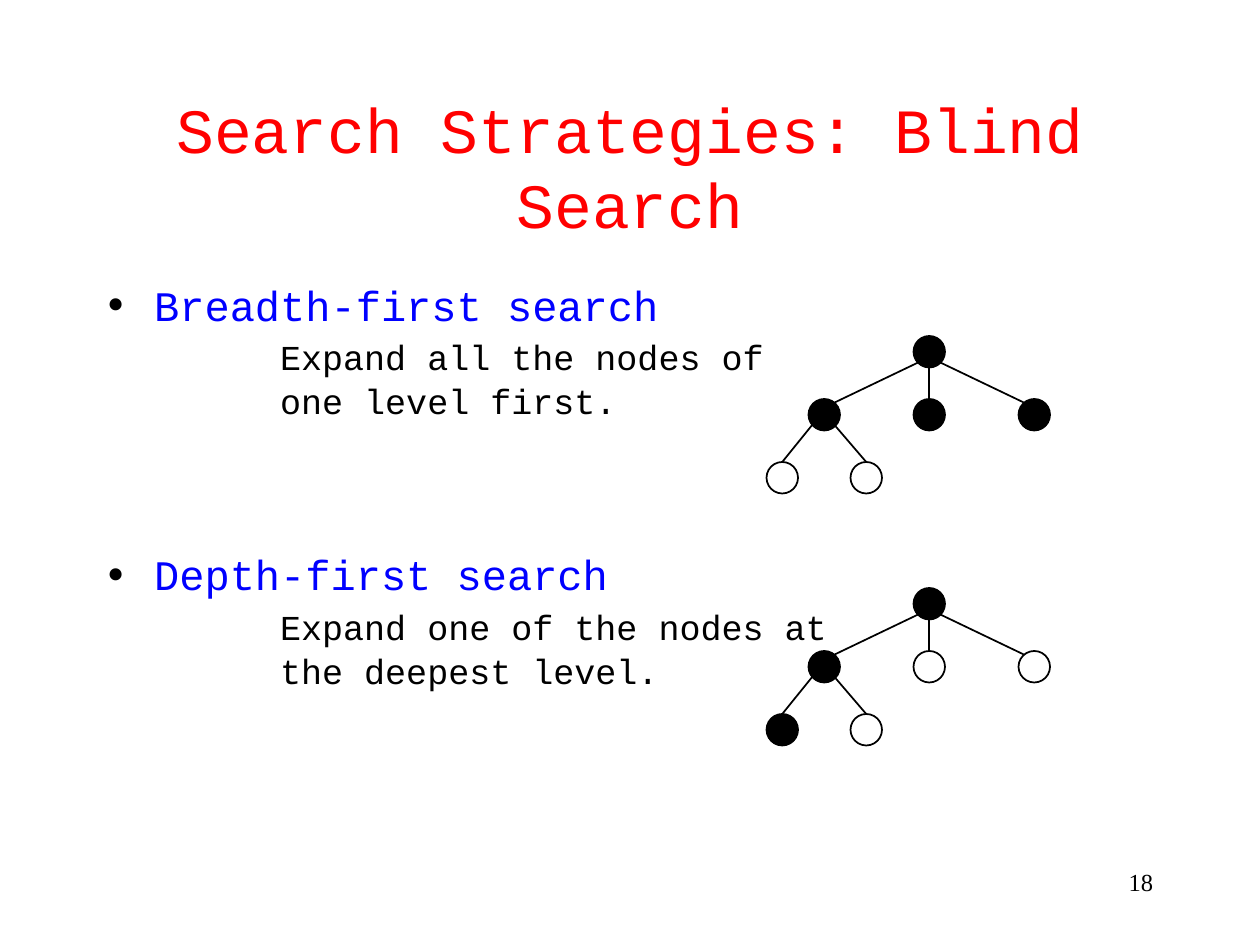
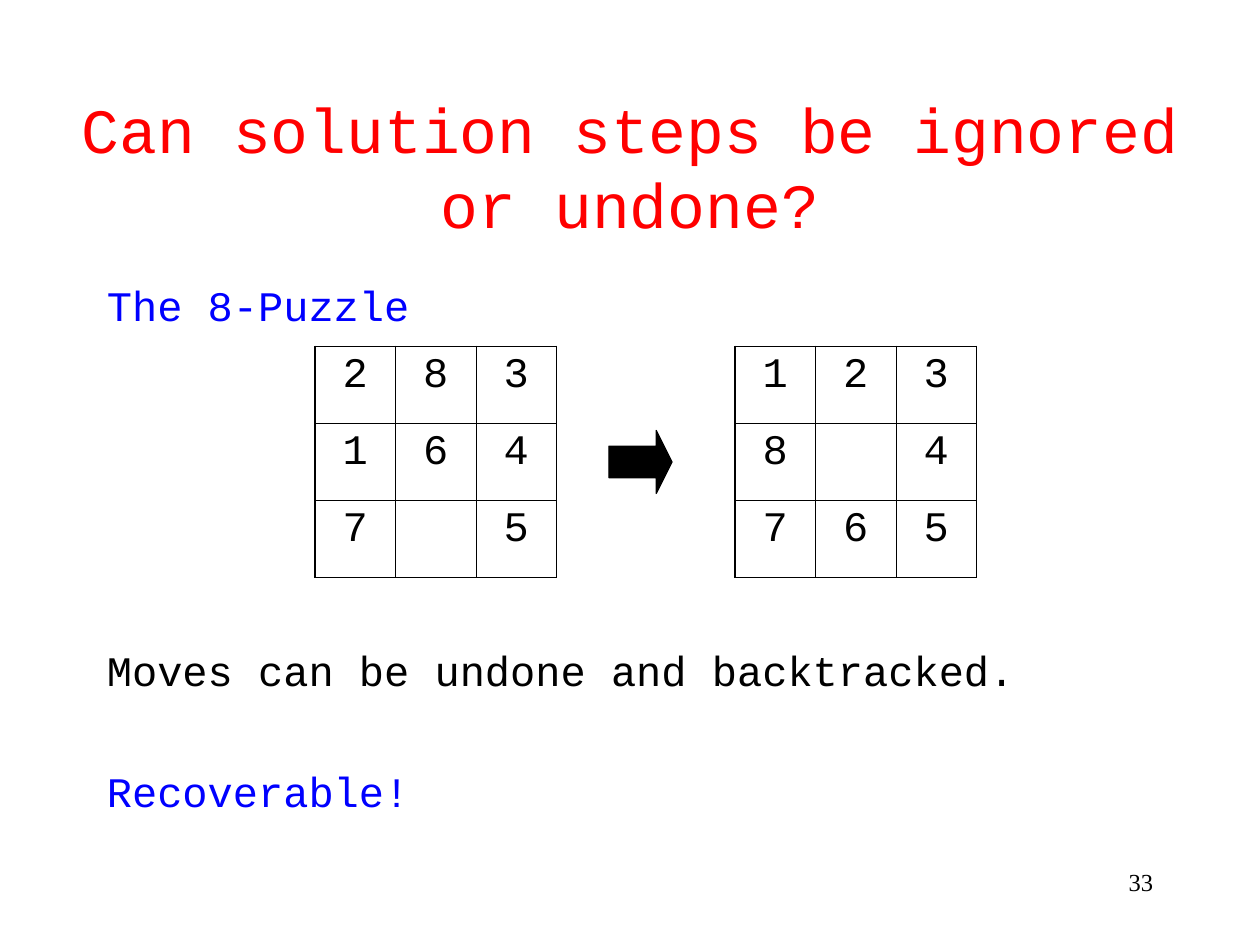
from dataclasses import dataclass

from lxml.etree import SubElement
from pptx import Presentation
from pptx.dml.color import RGBColor as RGB
from pptx.enum.shapes import MSO_CONNECTOR as CONNECTOR, MSO_SHAPE as SHAPE
from pptx.enum.text import PP_ALIGN as ALIGN
from pptx.oxml import parse_xml
from pptx.oxml.ns import nsdecls, qn
from pptx.util import Pt


@dataclass(frozen=True)
class Theme:
    title: RGB = RGB(0xFF, 0, 0)
    heading: RGB = RGB(0, 0, 0xFF)
    ink: RGB = RGB(0, 0, 0)
    code_font: str = "Courier New"
    number_font: str = "Times New Roman"
    title_size: int = 36
    heading_size: int = 24
    detail_size: int = 20
    number_size: int = 14


THEME = Theme()

# Search tree, measured from the top left of its root node
NODE_SIZE = 18
NODES = [(0, 0), (-60, 36), (0, 36), (60, 36), (-84, 72), (-36, 72)]
EDGES = [
    ((3, 15), (-45, 38)),
    ((9, 18), (9, 36)),
    ((15, 15), (63, 38)),
    ((-58, 51), (-75, 72)),
    ((-45, 51), (-27, 72)),
]

# Puzzle boards
TILE_WIDTH, TILE_HEIGHT = 46, 44
OUTER_BORDER, INNER_BORDER = 1.08, 0.45


def style_paragraph(paragraph, size, color, font=THEME.code_font,
                    align=ALIGN.LEFT, before=0):
    paragraph.alignment = align
    paragraph.line_spacing = 1.0
    paragraph.space_before = Pt(before)
    paragraph.space_after = Pt(0)
    for run in paragraph.runs:
        run.font.size = Pt(size)
        run.font.name = font
        run.font.color.rgb = color


def add_frame(slide, left, top, width, height):
    frame = slide.shapes.add_textbox(
        Pt(left), Pt(top), Pt(width), Pt(height)).text_frame
    frame.word_wrap = True
    return frame


def set_indent(paragraph, margin, hanging=0, bullet=False):
    props = paragraph._p.get_or_add_pPr()
    props.set("marL", str(Pt(margin)))
    props.set("indent", str(Pt(-hanging)))
    if bullet:
        color = SubElement(props, qn("a:buClr"))
        SubElement(color, qn("a:srgbClr"), val=str(THEME.ink))
        SubElement(props, qn("a:buSzPct"), val="120000")
        SubElement(props, qn("a:buFont"), typeface=THEME.number_font)
        SubElement(props, qn("a:buChar"), char="•")


def add_title(slide, text, left, width):
    title = add_frame(slide, left, 48, width, 90)
    title.text = text
    style_paragraph(title.paragraphs[0], THEME.title_size, THEME.title,
                    align=ALIGN.CENTER, before=6)


def add_page_number(slide, number):
    footer = add_frame(slide, 516, 492, 150, 36)
    footer.text = str(number)
    style_paragraph(footer.paragraphs[0], THEME.number_size, THEME.ink,
                    THEME.number_font, ALIGN.RIGHT)


def add_body(slide, lines):
    """Each line is (text, kind, space before); kinds are point, detail, heading, plain."""
    body = add_frame(slide, 54, 156, 612, 324)
    body.text = "\n".join(text for text, _, _ in lines)
    for paragraph, (_, kind, before) in zip(body.paragraphs, lines):
        size = THEME.detail_size if kind == "detail" else THEME.heading_size
        color = THEME.heading if kind in ("point", "heading") else THEME.ink
        style_paragraph(paragraph, size, color, before=before)
        if kind == "detail":
            set_indent(paragraph, 99)
        else:
            set_indent(paragraph, 27, 27, bullet=kind == "point")


def add_solid(slide, preset, left, top, width, height, line_width, filled=True):
    solid = slide.shapes.add_shape(preset, Pt(left), Pt(top), Pt(width), Pt(height))
    solid.shadow.inherit = False
    if filled:
        solid.fill.solid()
        solid.fill.fore_color.rgb = THEME.ink
    else:
        solid.fill.background()
    solid.line.color.rgb = THEME.ink
    solid.line.width = Pt(line_width)
    return solid


def add_edge(slide, x1, y1, x2, y2):
    edge = slide.shapes.add_connector(
        CONNECTOR.STRAIGHT, Pt(x1), Pt(y1), Pt(x2), Pt(y2))
    edge.line.color.rgb = THEME.ink
    edge.line.width = Pt(1)
    SubElement(edge._element.spPr, qn("a:effectLst"))


def add_search_tree(slide, left, top, expanded):
    for index, (dx, dy) in enumerate(NODES):
        add_solid(slide, SHAPE.OVAL, left + dx, top + dy, NODE_SIZE, NODE_SIZE,
                  1, filled=index in expanded)
    for (x1, y1), (x2, y2) in EDGES:
        add_edge(slide, left + x1, top + y1, left + x2, top + y2)


def set_borders(cell, row, column, last):
    outer_sides = {"L": column == 0, "R": column == last,
                   "T": row == 0, "B": row == last}
    props = cell._tc.get_or_add_tcPr()
    for position, (side, outer) in enumerate(outer_sides.items()):
        width = Pt(OUTER_BORDER if outer else INNER_BORDER)
        props.insert(position, parse_xml(
            f'<a:ln{side} {nsdecls("a")} w="{width}"><a:solidFill>'
            f'<a:srgbClr val="{THEME.ink}"/></a:solidFill></a:ln{side}>'))


def add_puzzle(slide, left, top, rows):
    count = len(rows)
    board = slide.shapes.add_table(
        count, count, Pt(left), Pt(top),
        Pt(count * TILE_WIDTH), Pt(count * TILE_HEIGHT)).table
    board.first_row = board.horz_banding = False
    for row, tiles in enumerate(rows):
        board.rows[row].height = Pt(TILE_HEIGHT)
        board.columns[row].width = Pt(TILE_WIDTH)
        for column, tile in enumerate(tiles):
            cell = board.cell(row, column)
            cell.fill.background()
            set_borders(cell, row, column, count - 1)
            cell.text_frame.text = tile.strip()
            style_paragraph(cell.text_frame.paragraphs[0], THEME.heading_size,
                            THEME.ink, align=ALIGN.CENTER)


def build_blind_search(slide):
    add_page_number(slide, 18)
    add_title(slide, "Search Strategies: Blind Search", 54, 612)
    add_body(slide, [
        ("Breadth-first search", "point", 6),
        ("Expand all the nodes of", "detail", 3.6),
        ("one level first.", "detail", 1.2),
        ("Depth-first search", "point", 72.5),
        ("Expand one of the nodes at", "detail", 3.6),
        ("the deepest level.", "detail", 1.2),
    ])
    add_search_tree(slide, 522, 192, expanded={0, 1, 2, 3})
    add_search_tree(slide, 522, 336, expanded={0, 1, 4})


def build_puzzle(slide):
    add_page_number(slide, 33)
    add_title(slide, "Can solution steps be ignored or undone?", 18, 684)
    add_body(slide, [
        ("The 8-Puzzle", "heading", 6),
        ("Moves can be undone and backtracked.", "plain", 180),
        ("Recoverable!", "heading", 40.5),
    ])
    add_puzzle(slide, 180, 198, ["283", "164", "7 5"])
    add_puzzle(slide, 420, 198, ["123", "8 4", "765"])
    arrow = add_solid(slide, SHAPE.RIGHT_ARROW, 348, 246, 36, 36, 0.75)
    arrow.adjustments[0] = 0.5
    arrow.adjustments[1] = 0.25


def main():
    deck = Presentation()
    deck.slide_width, deck.slide_height = Pt(720), Pt(540)
    blank = deck.slide_layouts[6]
    for build in (build_blind_search, build_puzzle):
        build(deck.slides.add_slide(blank))
    deck.save("out.pptx")


if __name__ == "__main__":
    main()
